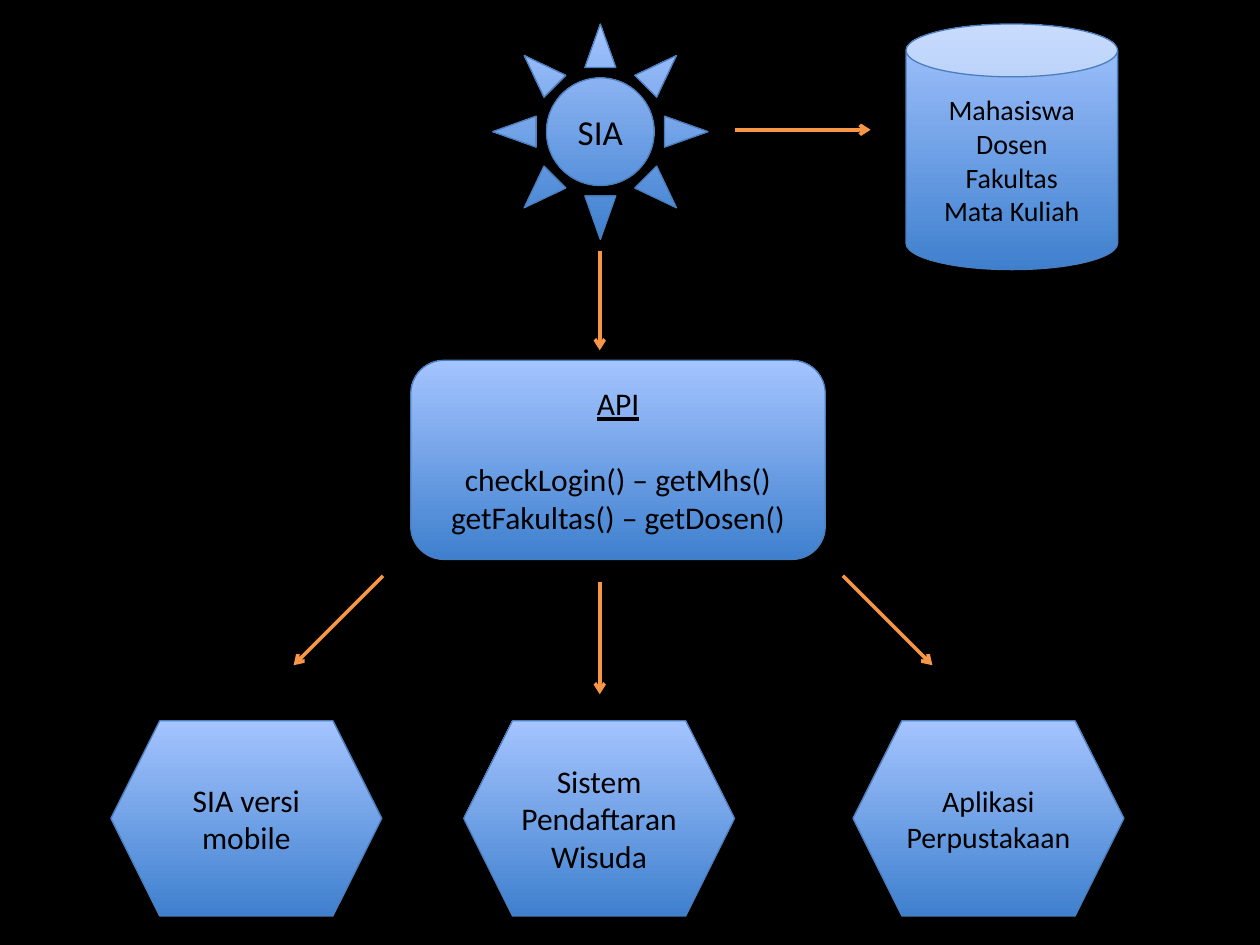
from pptx import Presentation
from pptx.dml.color import RGBColor
from pptx.enum.shapes import MSO_CONNECTOR, MSO_SHAPE
from pptx.enum.text import MSO_ANCHOR, PP_ALIGN
from pptx.oxml.ns import qn
from pptx.util import Inches, Pt
from lxml import etree

BLACK = RGBColor(0x00, 0x00, 0x00)
DEEP_BLUE = RGBColor(0x3F, 0x80, 0xCE)
PALE_BLUE = RGBColor(0xA4, 0xC4, 0xFF)
EDGE_BLUE = RGBColor(0x4B, 0x7E, 0xBC)
ORANGE = RGBColor(0xF7, 0x96, 0x46)

SUN, CAN = MSO_SHAPE.SUN, MSO_SHAPE.CAN
ROUNDED, HEXAGON = MSO_SHAPE.ROUNDED_RECTANGLE, MSO_SHAPE.HEXAGON
STRAIGHT = MSO_CONNECTOR.STRAIGHT
CENTER, MIDDLE = PP_ALIGN.CENTER, MSO_ANCHOR.MIDDLE

COLS, ROWS = 100, 75


class Diagram:
    font = "Calibri"

    def __init__(self, prs):
        self.s = prs.slides.add_slide(prs.slide_layouts[6])
        self.col = prs.slide_width / COLS
        self.row = prs.slide_height / ROWS
        fill = self.s.background.fill
        fill.solid()
        fill.fore_color.rgb = BLACK

    def point(self, x, y):
        return round(x * self.col), round(y * self.row)

    def node(self, kind, x, y, w, h, lines, size, heading=False):
        sp = self.s.shapes.add_shape(kind, *self.point(x, y), *self.point(w, h))
        sp.shadow.inherit = False
        sp.fill.gradient()
        sp.fill.gradient_angle = 90
        for stop, color in zip(sp.fill.gradient_stops, (DEEP_BLUE, PALE_BLUE)):
            stop.color.rgb = color
        sp.line.color.rgb = EDGE_BLUE
        sp.line.width = Pt(0.75)
        tf = sp.text_frame
        tf.word_wrap = True
        tf.vertical_anchor = MIDDLE
        for i, text in enumerate(lines):
            p = tf.paragraphs[0] if i == 0 else tf.add_paragraph()
            p.alignment = CENTER
            r = p.add_run()
            r.text = text
            r.font.name = self.font
            r.font.size = Pt(size)
            r.font.color.rgb = BLACK
            if heading and i == 0:
                r.font.underline = True
                p.space_after = Pt(size * 1.2)

    def arrow(self, x1, y1, x2, y2):
        cx = self.s.shapes.add_connector(STRAIGHT, *self.point(x1, y1), *self.point(x2, y2))
        cx.line.color.rgb = ORANGE
        cx.line.width = Pt(2)
        etree.SubElement(cx.line._get_or_add_ln(), qn("a:tailEnd"), type="arrow")
        etree.SubElement(cx._element.spPr, qn("a:effectLst"))


prs = Presentation()
prs.slide_width, prs.slide_height = Inches(10), Inches(7.5)
d = Diagram(prs)

d.node(SUN, 39.1, 1.9, 17.1, 17.1, ["SIA"], 20)
d.node(CAN, 71.9, 1.9, 16.8, 19.5, ["Mahasiswa", "Dosen", "Fakultas", "Mata Kuliah"], 16)
d.node(ROUNDED, 32.6, 28.6, 32.9, 15.8,
       ["API", "checkLogin() – getMhs()", "getFakultas() – getDosen()"], 18, heading=True)

CLIENTS = [
    (8.8, ["SIA versi mobile"], 18),
    (36.8, ["Sistem Pendaftaran Wisuda"], 18),
    (67.7, ["Aplikasi", "Perpustakaan"], 17),
]
for x, lines, size in CLIENTS:
    d.node(HEXAGON, x, 57.2, 21.5, 15.5, lines, size)

AXIS = 47.6
ARROWS = [
    (58.3, 10.3, 69.1, 10.3),
    (AXIS, 19.9, AXIS, 27.8),
    (AXIS, 46.2, AXIS, 55.1),
    (30.4, 45.7, 23.3, 52.8),
    (66.9, 45.7, 74, 52.8),
]
for ends in ARROWS:
    d.arrow(*ends)

prs.save("out.pptx")
